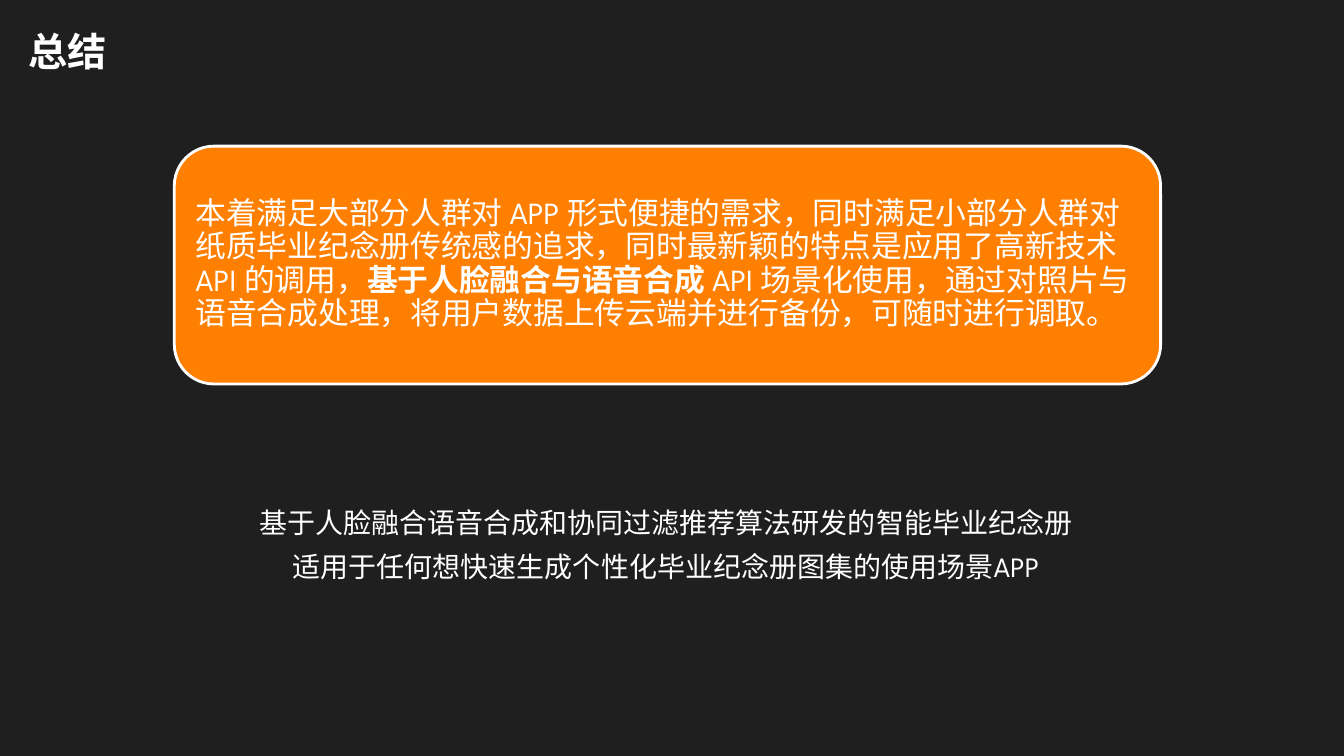
from dataclasses import dataclass

from pptx import Presentation
from pptx.dml.color import RGBColor
from pptx.enum.shapes import MSO_SHAPE
from pptx.enum.text import MSO_ANCHOR, MSO_AUTO_SIZE, PP_ALIGN
from pptx.util import Emu, Pt

EMU_PER_PX = 9144  # 100 px to the inch
FONT = "League Spartan"
COLORS = {"background": "1F1F1F", "panel": "FF7F01", "white": "FFFFFF"}


@dataclass(frozen=True)
class Box:
    left: int
    top: int
    width: int
    height: int

    def emu(self) -> list[Emu]:
        return [px(v) for v in (self.left, self.top, self.width, self.height)]


@dataclass(frozen=True)
class Span:
    text: str
    bold: bool = False


@dataclass(frozen=True)
class TextBlock:
    box: Box
    paragraphs: list[list[Span]]
    size: int
    line_spacing: float
    align: PP_ALIGN = PP_ALIGN.LEFT
    anchor: MSO_ANCHOR = MSO_ANCHOR.MIDDLE
    inset: tuple[int, int] = (10, 5)
    wrap: bool = True
    grow: bool = False


def px(value: int) -> Emu:
    return Emu(value * EMU_PER_PX)


def color(name: str) -> RGBColor:
    return RGBColor.from_string(COLORS[name])


def draw_panel(slide, box: Box) -> None:
    panel = slide.shapes.add_shape(MSO_SHAPE.ROUNDED_RECTANGLE, *box.emu())
    panel.shadow.inherit = False
    panel.fill.solid()
    panel.fill.fore_color.rgb = color("panel")
    panel.line.color.rgb = color("white")
    panel.line.width = Pt(2)


def draw_text(slide, block: TextBlock) -> None:
    frame = slide.shapes.add_textbox(*block.box.emu()).text_frame
    frame.word_wrap = block.wrap
    frame.auto_size = MSO_AUTO_SIZE.SHAPE_TO_FIT_TEXT if block.grow else MSO_AUTO_SIZE.NONE
    frame.vertical_anchor = block.anchor
    frame.margin_left = frame.margin_right = px(block.inset[0])
    frame.margin_top = frame.margin_bottom = px(block.inset[1])
    for index, spans in enumerate(block.paragraphs):
        paragraph = frame.add_paragraph() if index else frame.paragraphs[0]
        paragraph.alignment = block.align
        paragraph.line_spacing = block.line_spacing
        for span in spans:
            run = paragraph.add_run()
            run.text = span.text
            run.font.name = FONT
            run.font.size = Pt(block.size)
            run.font.bold = span.bold
            run.font.color.rgb = color("white")


TITLE = TextBlock(Box(18, 22, 380, 62), [[Span("总结", bold=True)]], 28, 0.9)

SUMMARY_PANEL = Box(173, 145, 979, 236)
SUMMARY = TextBlock(
    Box(185, 156, 956, 213),
    [[
        Span("本着满足大部分人群对 APP 形式便捷的需求，同时满足小部分人群对"
             "纸质毕业纪念册传统感的追求，同时最新颖的特点是应用了高新技术 API 的调用，"),
        Span("基于人脸融合与语音合成 ", bold=True),
        Span("API 场景化使用，通过对照片与语音合成处理，"
             "将用户数据上传云端并进行备份，可随时进行调取。"),
    ]],
    22, 0.9, inset=(9, 9),
)

TAGLINE = TextBlock(
    Box(244, 487, 834, 93),
    [
        [Span("基于人脸融合语音合成和协同过滤推荐算法研发的智能毕业纪念册")],
        [Span("适用于任何想快速生成个性化毕业纪念册图集的使用场景APP")],
    ],
    20, 1.3, align=PP_ALIGN.CENTER, anchor=MSO_ANCHOR.TOP, wrap=False, grow=True,
)


def main() -> None:
    deck = Presentation()
    deck.slide_width, deck.slide_height = px(1334), px(750)
    slide = deck.slides.add_slide(deck.slide_layouts[6])

    # Background
    slide.background.fill.solid()
    slide.background.fill.fore_color.rgb = color("background")

    # Summary panel, then all text on top
    draw_panel(slide, SUMMARY_PANEL)
    for block in (TITLE, SUMMARY, TAGLINE):
        draw_text(slide, block)

    deck.save("out.pptx")


if __name__ == "__main__":
    main()
